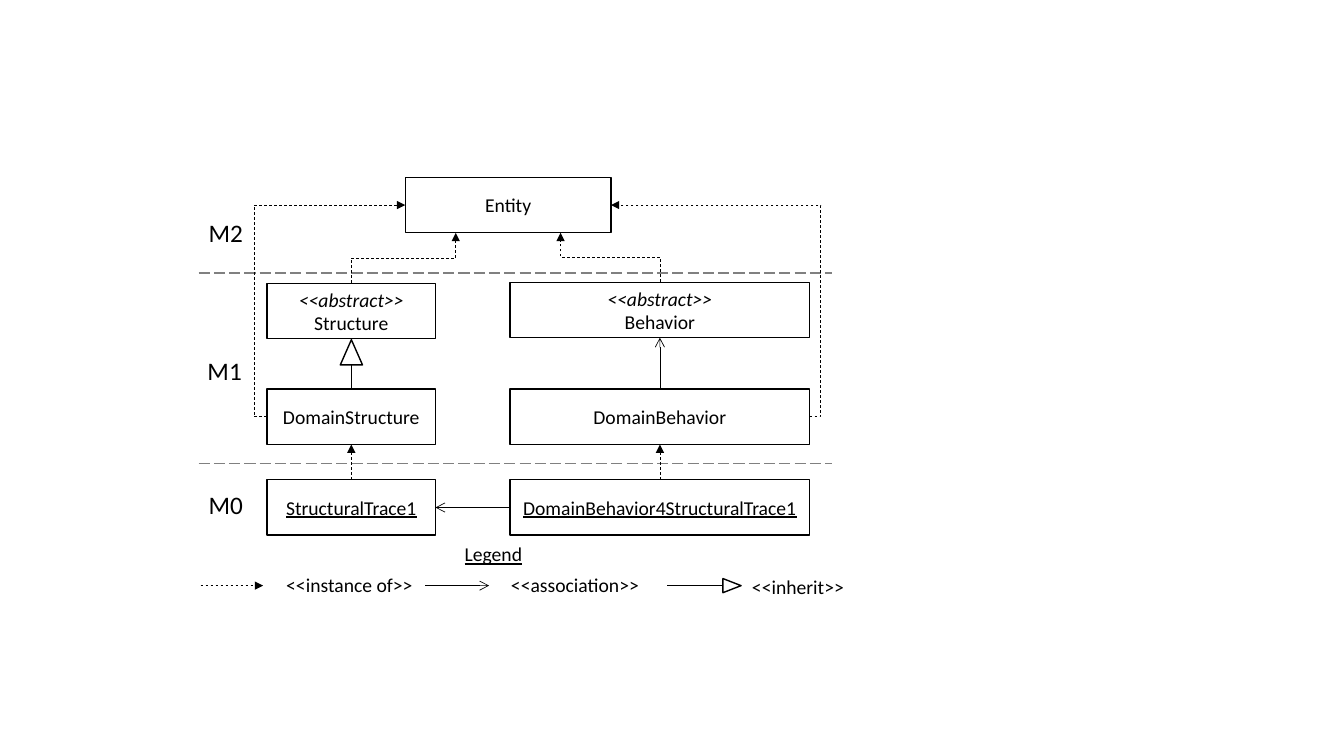
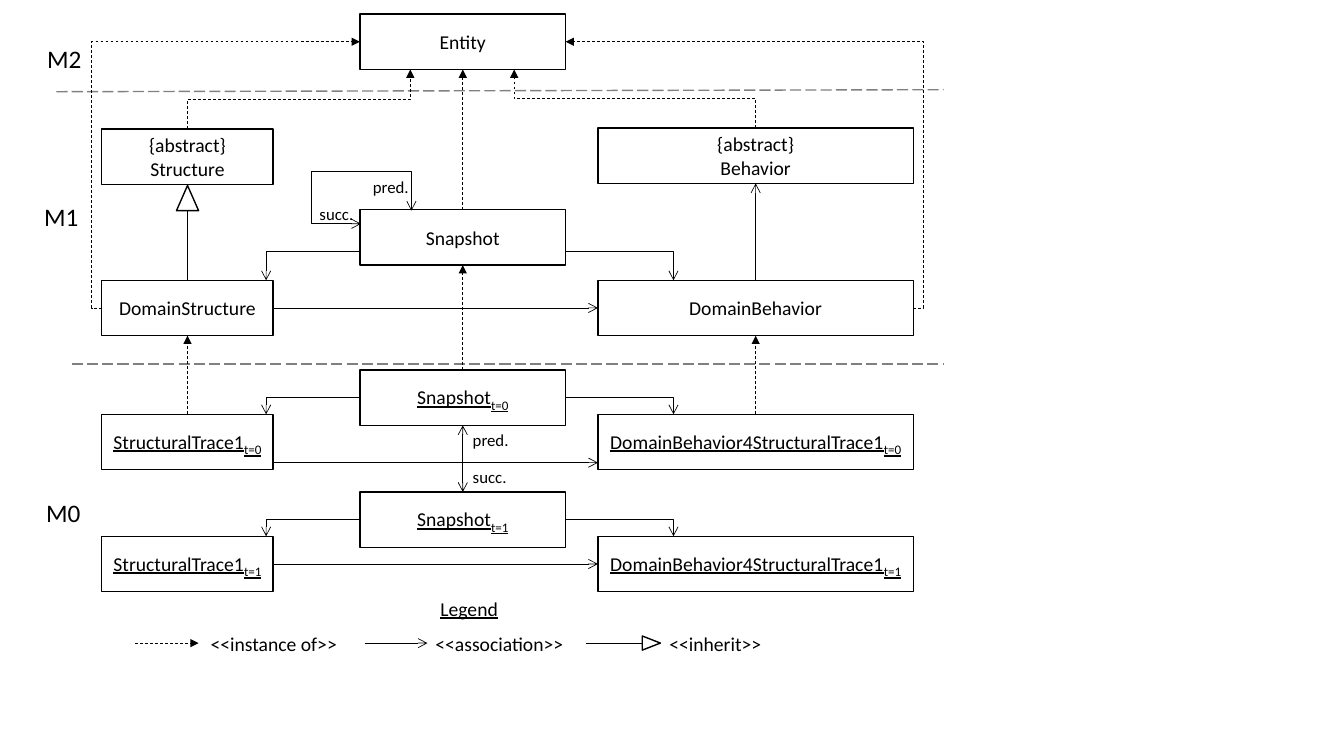
from lxml import etree
from pptx import Presentation
from pptx.dml.color import RGBColor
from pptx.enum.dml import MSO_LINE
from pptx.enum.shapes import MSO_CONNECTOR as CONNECTOR, MSO_SHAPE as SHAPE
from pptx.enum.text import MSO_ANCHOR as ANCHOR, PP_ALIGN as ALIGN
from pptx.oxml.ns import qn
from pptx.util import Pt

PX = 9144  # 100 px to the inch
BOX_HEIGHT = 55
BLACK, WHITE, GREY = "000000", "FFFFFF", "808080"
FONT = "Calibri"
color = RGBColor.from_string

# kind: colour, width, dash, arrowhead at the start, arrowhead at the end
LINE_KINDS = {
    "instance": (BLACK, 0.5, MSO_LINE.DASH, None, "triangle"),
    "association": (BLACK, 0.5, None, None, "arrow"),
    "mutual": (BLACK, 0.5, None, "arrow", "arrow"),
    "inherit": (BLACK, 1, None, None, None),
    "legend inherit": (BLACK, 0.5, None, None, None),
    "outline": (BLACK, 1, None, None, None),
    "divider": (GREY, 1, MSO_LINE.LONG_DASH, None, None),
}

# boxes: name: (left, top, width, text); "_" starts a subscript
# links: source, its side, target, its side, kind (0 top, 1 left, 2 bottom, 3 right)
# detours: source, side, distance kept from the source on the way to Entity
# risers: source, x where the arrow meets the bottom of Entity
# corners: begin x, begin y, end x, end y
# labels: left, top, width, text, size, underlined
DIAGRAMS = [
    {
        "boxes": {
            "Entity": (402, 176, 204, "Entity"),
            "Structure": (265, 281, 167, "<<abstract>>\nStructure"),
            "Behavior": (506, 280, 297, "<<abstract>>\nBehavior"),
            "DomainStructure": (265, 386, 167, "DomainStructure"),
            "DomainBehavior": (506, 386, 297, "DomainBehavior"),
            "Structure trace": (265, 476, 167, "StructuralTrace1"),
            "Behavior trace": (506, 476, 297, "DomainBehavior4StructuralTrace1"),
        },
        "links": [
            ("Structure trace", 0, "DomainStructure", 2, "instance"),
            ("Behavior trace", 0, "DomainBehavior", 2, "instance"),
            ("Behavior trace", 1, "Structure trace", 3, "association"),
            ("DomainBehavior", 0, "Behavior", 2, "association"),
        ],
        "detours": [("DomainStructure", 1, 13), ("DomainBehavior", 3, 11)],
        "risers": [("Structure", 452), ("Behavior", 556)],
        "corners": [],
        "lines": [
            (197, 271, 825, 271, "divider"),
            (197, 460, 825, 460, "divider"),
            (199, 581, 261, 581, "instance"),
            (422, 581, 485, 581, "association"),
            (662, 581, 726, 581, "legend inherit"),
        ],
        "loops": [],
        "legend triangle": (719, 572),
        "labels": [
            (197, 211, 87, "M2", 18, False),
            (196, 348, 87, "M1", 18, False),
            (197, 481, 87, "M0", 18, False),
            (451, 533, 243, "Legend", 14, True),
            (274, 563, 191, "<<instance of>>", 14, False),
            (497, 563, 194, "<<association>>", 14, False),
            (736, 565, 129, "<<inherit>>", 14, False),
        ],
    },
    {
        "boxes": {
            "Entity": (357, 14, 204, "Entity"),
            "Structure": (101, 128, 170, "{abstract}\nStructure"),
            "Behavior": (593, 127, 313, "{abstract}\nBehavior"),
            "Snapshot": (357, 208, 204, "Snapshot"),
            "DomainStructure": (101, 278, 170, "DomainStructure"),
            "DomainBehavior": (593, 278, 313, "DomainBehavior"),
            "Snapshot trace 0": (357, 367, 204, "Snapshot_t=0"),
            "Structure trace 0": (101, 411, 170, "StructuralTrace1_t=0"),
            "Behavior trace 0": (593, 411, 313, "DomainBehavior4StructuralTrace1_t=0"),
            "Snapshot trace 1": (357, 488, 204, "Snapshot_t=1"),
            "Structure trace 1": (101, 532, 170, "StructuralTrace1_t=1"),
            "Behavior trace 1": (593, 532, 313, "DomainBehavior4StructuralTrace1_t=1"),
        },
        "links": [
            ("Structure trace 0", 0, "DomainStructure", 2, "instance"),
            ("Behavior trace 0", 0, "DomainBehavior", 2, "instance"),
            ("Snapshot trace 0", 0, "Snapshot", 2, "instance"),
            ("Snapshot", 0, "Entity", 2, "instance"),
            ("DomainBehavior", 0, "Behavior", 2, "association"),
            ("DomainStructure", 3, "DomainBehavior", 1, "association"),
            ("Structure trace 1", 3, "Behavior trace 1", 1, "association"),
            ("Snapshot trace 1", 0, "Snapshot trace 0", 2, "mutual"),
        ],
        "detours": [("DomainStructure", 1, 10), ("DomainBehavior", 3, 10)],
        "risers": [("Structure", 407), ("Behavior", 510)],
        "corners": [
            (begin_x, begin_y, end_x, end_y)
            for begin_y, end_y in [(249, 278), (394, 411), (515, 532)]
            for begin_x, end_x in [(357, 264), (561, 668)]
        ],
        "lines": [
            (56, 91, 936, 89, "divider"),
            (71, 361, 936, 361, "divider"),
            (271, 459, 593, 459, "association"),
            (134, 638, 197, 638, "instance"),
            (362, 638, 424, 638, "association"),
            (581, 638, 646, 638, "legend inherit"),
        ],
        "loops": [[(358, 222), (309, 222), (309, 170), (408, 170), (408, 209)]],
        "legend triangle": (639, 629),
        "labels": [
            (37, 38, 87, "M2", 18, False),
            (34, 195, 87, "M1", 18, False),
            (36, 488, 87, "M0", 18, False),
            (360, 170, 95, "pred.", 12, False),
            (307, 197, 95, "succ.", 12, False),
            (459, 421, 95, "pred.", 12, False),
            (459, 458, 95, "succ.", 12, False),
            (427, 587, 243, "Legend", 14, True),
            (199, 622, 164, "<<instance of>>", 14, False),
            (422, 622, 194, "<<association>>", 14, False),
            (654, 622, 129, "<<inherit>>", 14, False),
        ],
    },
]


def style_line(shape, kind):
    """Give a connector or an outline the look of its kind, without shadow."""
    line_color, width, dash, head, tail = LINE_KINDS[kind]
    shape.line.color.rgb = color(line_color)
    shape.line.width = Pt(width)
    if dash:
        shape.line.dash_style = dash
    properties = shape._element.spPr
    line = properties.find(qn("a:ln"))
    for tag, arrowhead in (("a:headEnd", head), ("a:tailEnd", tail)):
        if arrowhead:
            etree.SubElement(line, qn(tag), type=arrowhead)
    etree.SubElement(properties, qn("a:effectLst"))


def write_text(shape, text, size, underlined, align):
    """Fill a shape with lines of text; "_" starts a subscript, "<<abstract>>" is italic."""
    frame = shape.text_frame
    frame.word_wrap = True
    for index, line in enumerate(text.split("\n")):
        paragraph = frame.paragraphs[0] if index == 0 else frame.add_paragraph()
        paragraph.alignment = align
        for part, words in enumerate(line.split("_")):
            run = paragraph.add_run()
            run.text = words
            run.font.name = FONT
            run.font.size = Pt(16 if part else size)
            run.font.color.rgb = color(BLACK)
            run.font.underline = underlined or None
            run.font.italic = words == "<<abstract>>" or None
            if part:
                run.font._element.set("baseline", "-25000")


presentation = Presentation()
presentation.slide_width = 1333 * PX
presentation.slide_height = 750 * PX

for diagram in DIAGRAMS:
    slide = presentation.slides.add_slide(presentation.slide_layouts[6])
    shapes = slide.shapes

    for *ends, kind in diagram["lines"]:
        line = shapes.add_connector(CONNECTOR.STRAIGHT, *(end * PX for end in ends))
        style_line(line, kind)

    boxes = {}
    for name, (left, top, width, text) in diagram["boxes"].items():
        box = shapes.add_shape(SHAPE.RECTANGLE, left * PX, top * PX, width * PX, BOX_HEIGHT * PX)
        box.fill.solid()
        box.fill.fore_color.rgb = color(WHITE)
        style_line(box, "outline")
        box.text_frame.vertical_anchor = ANCHOR.MIDDLE
        write_text(box, text, 14, "trace" in name, ALIGN.CENTER)
        boxes[name] = box
    entity = boxes["Entity"]

    for source, source_side, target, target_side, kind in diagram["links"]:
        link = shapes.add_connector(CONNECTOR.STRAIGHT, 0, 0, 0, 0)
        link.begin_connect(boxes[source], source_side)
        link.end_connect(boxes[target], target_side)
        style_line(link, kind)

    for source, side, distance in diagram["detours"]:
        detour = shapes.add_connector(CONNECTOR.ELBOW, 0, 0, 0, 0)
        detour.begin_connect(boxes[source], side)
        detour.end_connect(entity, side)
        bend = -round(100000 * distance * PX / detour.width)
        adjustments = detour._element.spPr.find(qn("a:prstGeom")).find(qn("a:avLst"))
        etree.SubElement(adjustments, qn("a:gd"), name="adj1", fmla=f"val {bend}")
        style_line(detour, "instance")

    # A riser leaves upwards: an elbow laid out sideways and turned by 270 degrees
    for source, end_x in diagram["risers"]:
        box = boxes[source]
        begin_x = box.left + box.width // 2
        across = end_x * PX - begin_x
        rise = box.top - entity.top - entity.height
        center_x, center_y = begin_x + across // 2, box.top - rise // 2
        riser = shapes.add_connector(CONNECTOR.ELBOW, 0, 0, 0, 0)
        riser.begin_connect(box, 0)
        riser.begin_x, riser.end_x = center_x - rise // 2, center_x + rise // 2
        riser.begin_y, riser.end_y = center_y - across // 2, center_y + across // 2
        riser._element.spPr.find(qn("a:xfrm")).set("rot", str(270 * 60000))
        style_line(riser, "instance")

    for ends in diagram["corners"]:
        corner = shapes.add_connector(CONNECTOR.ELBOW, *(end * PX for end in ends))
        corner._element.spPr.find(qn("a:prstGeom")).set("prst", "bentConnector2")
        style_line(corner, "association")

    for start, *points in diagram["loops"]:
        builder = shapes.build_freeform(*start, scale=PX)
        builder.add_line_segments(points, close=False)
        loop = builder.convert_to_shape()
        loop.fill.background()
        style_line(loop, "mutual")

    parent, child = boxes["Structure"], boxes["DomainStructure"]
    middle = child.left + child.width // 2
    parent_bottom = parent.top + parent.height + PX
    legend_left, legend_top = diagram["legend triangle"]
    for left, top, width, height, rotation in (
        (middle - 11 * PX, parent_bottom, 22, 25, 0),
        (legend_left * PX, legend_top * PX, 14, 18, 90),
    ):
        triangle = shapes.add_shape(SHAPE.ISOSCELES_TRIANGLE, left, top, width * PX, height * PX)
        triangle.rotation = rotation
        triangle.fill.solid()
        triangle.fill.fore_color.rgb = color(WHITE)
        style_line(triangle, "outline")
    stem = shapes.add_connector(CONNECTOR.STRAIGHT, 0, 0, middle, parent_bottom + 25 * PX)
    stem.begin_connect(child, 0)
    style_line(stem, "inherit")

    for left, top, width, text, size, underlined in diagram["labels"]:
        label = shapes.add_textbox(left * PX, top * PX, width * PX, (size * 2 + 5) * PX)
        write_text(label, text, size, underlined, ALIGN.LEFT)

presentation.save("out.pptx")
